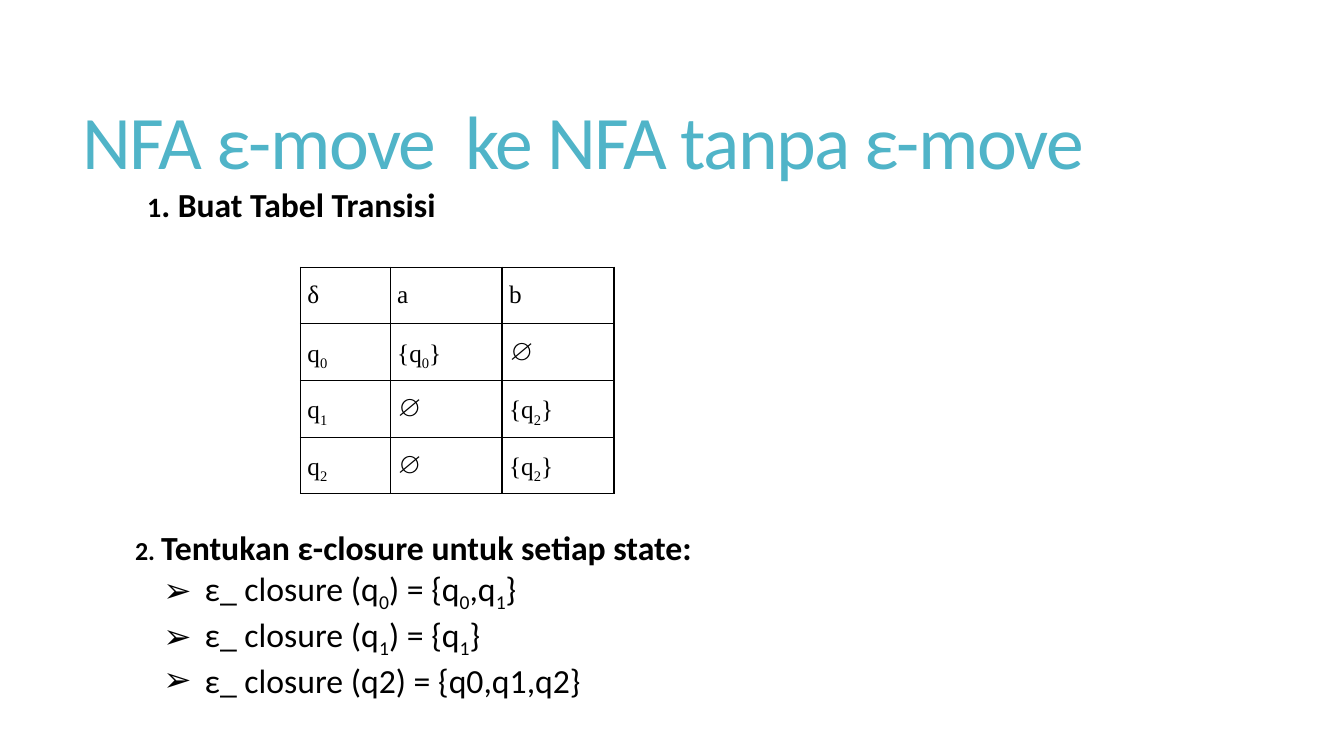
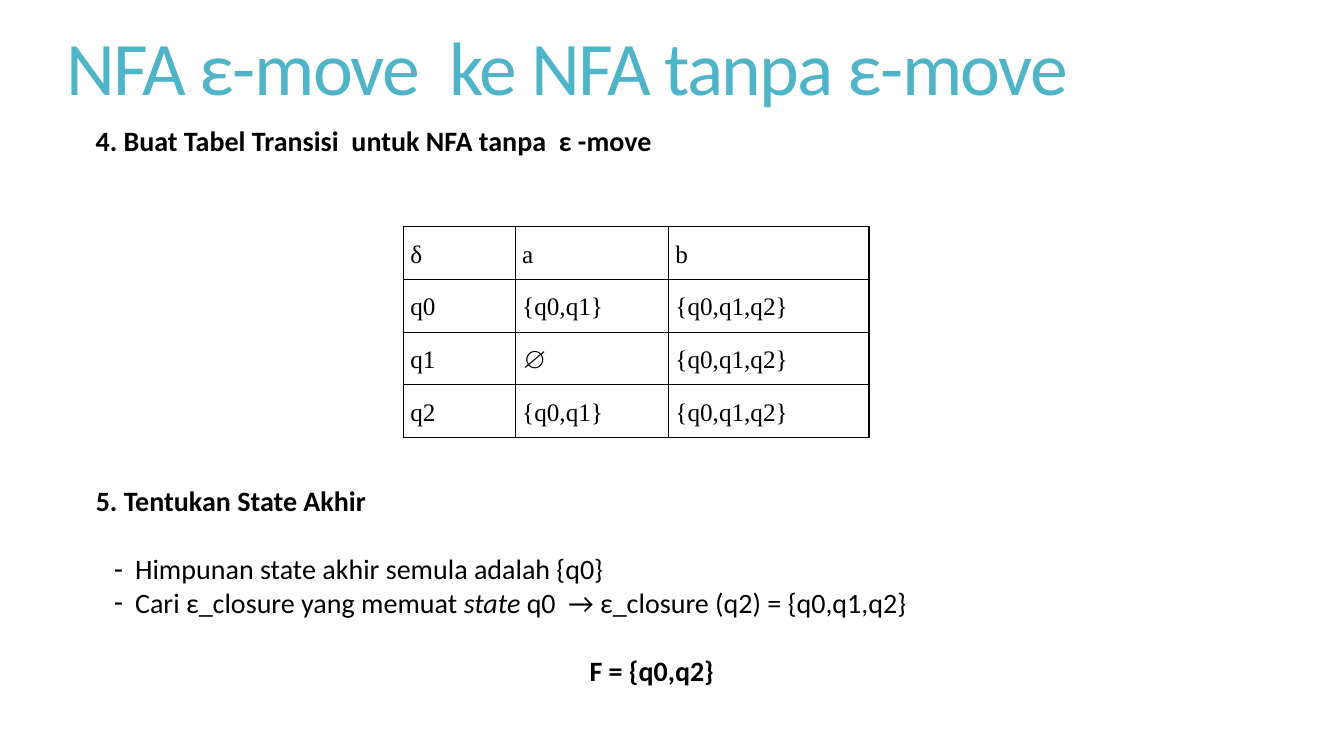
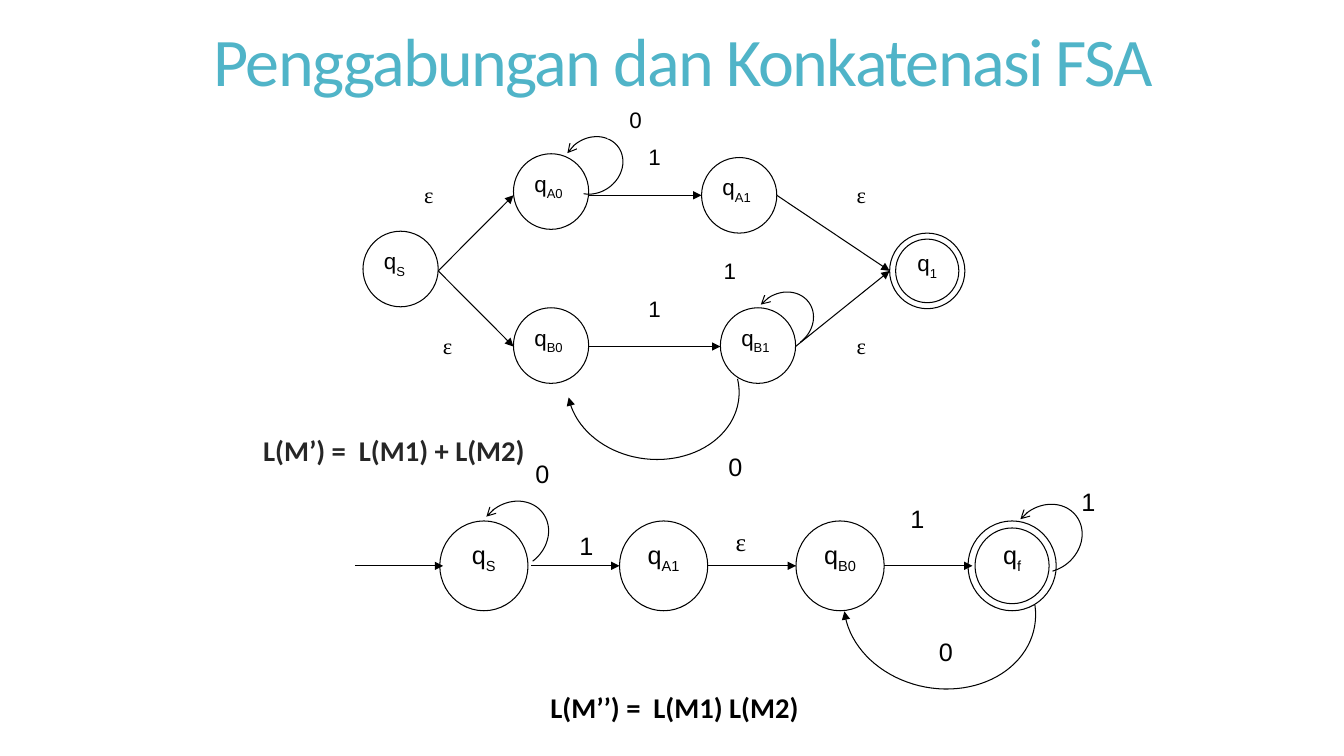
from dataclasses import dataclass, field
from math import cos, radians, sin

from lxml import etree
from pptx import Presentation
from pptx.dml.color import RGBColor
from pptx.enum.shapes import MSO_CONNECTOR, MSO_SHAPE
from pptx.enum.text import MSO_ANCHOR, MSO_AUTO_SIZE, PP_ALIGN
from pptx.oxml.ns import qn
from pptx.util import Emu, Inches, Pt

LEFT, MID, JUST = PP_ALIGN.LEFT, PP_ALIGN.CENTER, PP_ALIGN.JUSTIFY
TOP, CENTER = MSO_ANCHOR.TOP, MSO_ANCHOR.MIDDLE
FIXED = MSO_AUTO_SIZE.NONE
STATE, FINAL, RECT = MSO_SHAPE.FLOWCHART_CONNECTOR, MSO_SHAPE.DONUT, MSO_SHAPE.RECTANGLE
STRAIGHT = MSO_CONNECTOR.STRAIGHT


@dataclass(frozen=True)
class Theme:
    ink: RGBColor = RGBColor(0, 0, 0)
    soft: RGBColor = RGBColor(0x26, 0x26, 0x26)
    teal: RGBColor = RGBColor(0x50, 0xB4, 0xC8)
    white: RGBColor = RGBColor(255, 255, 255)
    sans: str = "Calibri"
    label: str = "Arial"
    serif: str = "Times New Roman"
    title: float = 54
    head: float = 48.6
    lead: float = 24
    item: float = 24.1
    text: float = 20
    sum: float = 20.4
    mark: float = 18.5
    cell: float = 18
    state: float = 16
    line: float = 0.75
    edge: float = 1


@dataclass
class Box:
    x: float
    y: float
    w: float
    h: float

    def cut(self, cols, rows, x, y, w=0, h=0):
        dx, dy = self.w / cols, self.h / rows
        return Box(self.x + x * dx, self.y + y * dy, w * dx, h * dy)

    def emu(self):
        return [Inches(v) for v in (self.x, self.y, self.w, self.h)]


@dataclass
class Para:
    runs: list
    fmt: dict = field(default_factory=dict)
    left: float = 0
    hang: float = 0
    mark: str = ""


THEME = Theme()
PAGE = Box(0, 0, 13.33, 7.5)
COLS, ROWS = 133.3, 75
LOOP = (1.67, 1.45, -34)
NFA = "NFA ε-move  ke NFA tanpa ε-move"


def zone(*spot):
    return PAGE.cut(COLS, ROWS, *spot)


def put(item, vals):
    for key, val in vals.items():
        setattr(item, key, val)


def face(name, size, **more):
    return {"name": name, "size": Pt(size), "color": THEME.ink, **more}


def ink(font, fmt):
    put(font, {key: val for key, val in fmt.items() if key != "color"})
    font.color.rgb = fmt["color"]


def child(node, tag, **vals):
    return etree.SubElement(node, qn(tag), vals)


def add_runs(para, text, fmt, drop):
    for i, bit in enumerate(text.replace("]", "[").split("[")):
        if bit:
            run = para.add_run()
            run.text = bit
            ink(run.font, fmt)
            if i % 2:
                run.font._element.set("baseline", str(-1000 * drop))


def write(frame, paras, fmt, drop=25, anchor=TOP):
    put(frame, {"word_wrap": True, "auto_size": FIXED, "vertical_anchor": anchor})
    for i, item in enumerate(paras):
        para = frame.add_paragraph() if i else frame.paragraphs[0]
        put(para, {"alignment": LEFT, "space_before": Pt(0), **item.fmt})
        props = para._p.get_or_add_pPr()
        props.set("marL", str(Inches(item.left)))
        props.set("indent", str(Inches(item.hang)))
        if item.mark:
            child(props, "a:buChar", char=item.mark)
        else:
            child(props, "a:buNone")
        for text, more in item.runs:
            add_runs(para, text, {**fmt, **more}, drop)


def place(shape, box):
    put(shape, dict(zip(("left", "top", "width", "height"), box.emu())))
    return shape


def add_title(slide, box, text, size=THEME.title, left=0):
    frame = place(slide.shapes.title, box).text_frame
    fmt = face(THEME.sans, size, color=THEME.teal)
    write(frame, [Para([(text, {})], {"line_spacing": 0.85}, left)], fmt, anchor=CENTER)
    for run in frame.paragraphs[0].runs:
        run.font._element.set("spc", "-120")


def add_body(slide, box, paras, fmt):
    write(place(slide.placeholders[1], box).text_frame, paras, fmt)


def add_note(slide, box, paras, fmt):
    write(slide.shapes.add_textbox(*box.emu()).text_frame, paras, fmt)


def add_grid(slide, box, cols, rows):
    table = slide.shapes.add_table(len(rows), len(cols), *box.emu()).table
    put(table, {"first_row": False, "horz_banding": False})
    for col, share in zip(table.columns, cols):
        col.width = Inches(box.w * share / sum(cols))
    for row, texts in zip(table.rows, rows):
        row.height = Inches(box.h / len(rows))
        for cell, text in zip(row.cells, texts):
            fill_cell(cell, text)


def fill_cell(cell, text):
    put(cell, {"margin_left": Inches(0.07), "margin_right": Inches(0.07),
               "margin_top": 0, "margin_bottom": 0})
    para = cell.text_frame.paragraphs[0]
    put(para, {"alignment": JUST, "line_spacing": 1.5})
    add_runs(para, text, face(THEME.serif, THEME.cell), 25)
    props = cell._tc.get_or_add_tcPr()
    for side in ("a:lnL", "a:lnR", "a:lnT", "a:lnB"):
        line = child(props, side, w=str(Pt(THEME.edge)))
        child(child(line, "a:solidFill"), "a:srgbClr", val=str(THEME.ink))
    cell.fill.background()


def stroke(shape):
    shape.line.color.rgb = THEME.ink
    shape.line.width = Pt(THEME.line)


def add_form(slide, kind, box, text, fmt, align, solid=True, lined=False):
    shape = slide.shapes.add_shape(kind, *box.emu())
    shape.shadow.inherit = False
    if solid:
        shape.fill.solid()
        shape.fill.fore_color.rgb = THEME.white
    else:
        shape.fill.background()
    if lined:
        stroke(shape)
    else:
        shape.line.fill.background()
    if kind == FINAL:
        shape.adjustments[0] = 0.08
    write(shape.text_frame, [Para([(text, {})], {"alignment": align})], fmt, drop=30)


def add_arrow(slide, start, end):
    line = slide.shapes.add_connector(STRAIGHT, *start.emu()[:2], *end.emu()[:2])
    stroke(line)
    child(line.get_or_add_ln(), "a:tailEnd", type="triangle")
    child(line._element.spPr, "a:effectLst")


def add_arc(slide, spot, x, y, wide, tall, tilt, first, last):
    turn = radians(tilt)
    dots = []
    for i in range(49):
        angle = radians(first + (last - first) * i / 48)
        u, v = wide * cos(angle), tall * sin(angle)
        dot = spot(x + u * cos(turn) - v * sin(turn), y + u * sin(turn) + v * cos(turn))
        dots.append(tuple(dot.emu()[:2]))
    pen = slide.shapes.build_freeform(*dots[0], scale=1.0)
    pen.add_line_segments(dots[1:], close=False)
    shape = pen.convert_to_shape(Emu(0), Emu(0))
    shape.shadow.inherit = False
    shape.fill.background()
    stroke(shape)
    end, kind = ("a:headEnd", "arrow") if tilt < 0 else ("a:tailEnd", "triangle")
    child(shape.get_or_add_ln(), end, type=kind)


def add_graph(slide, box, cols, rows, size, align, states, arrows, arcs, labels):
    def spot(*cell):
        return box.cut(cols, rows, *cell)

    for kind, text, x, y in states:
        side = MID if kind == FINAL else align
        add_form(slide, kind, spot(x, y, 4, 4), text, face(THEME.label, size), side, lined=True)
    for x, y, to_x, to_y in arrows:
        add_arrow(slide, spot(x, y), spot(to_x, to_y))
    for arc in arcs:
        add_arc(slide, spot, *arc)
    for text, x, y, points, solid in labels:
        name = THEME.serif if text == "ε" else THEME.label
        add_form(slide, RECT, spot(x, y, 3, 2), text, face(name, points), MID, solid)


def closure(slide):
    add_title(slide, zone(7.2, 5.5, 117.8, 18.1), NFA)
    small = {"size": Pt(THEME.text)}
    add_note(slide, zone(12.4, 17.8, 65.8, 5.8),
             [Para([("1", small), (". Buat Tabel Transisi", {})],
                   {"space_before": Pt(4)}, 0.4, -0.28)],
             face(THEME.sans, THEME.lead, bold=True))
    add_grid(slide, zone(29.8, 26.5, 31.1, 22.5), (8.9, 11.1, 11.1), [
        ("δ", "a", "b"),
        ("q[0]", "{q[0]}", "∅"),
        ("q[1]", "∅", "{q[2]}"),
        ("q[2]", "∅", "{q[2]}")])
    items = ("ε_ closure (q[0]) = {q[0],q[1]}",
             "ε_ closure (q[1]) = {q[1]}",
             "ε_ closure (q2) = {q0,q1,q2}")
    bold = {"bold": True}
    head = Para([("2. ", {"size": Pt(THEME.mark), **bold}),
                 ("Tentukan ε-closure untuk setiap state:", bold)])
    add_body(slide, zone(12.4, 51.8, 88.3, 15),
             [head] + [Para([(text, {})], {}, 0.69, -0.41, "➢") for text in items],
             face(THEME.sans, THEME.item, bold=False))


def ends(slide):
    add_title(slide, zone(5.6, 2, 117.8, 10.3), NFA)
    fmt = face(THEME.sans, THEME.text, bold=False)
    bold = {"bold": True}
    add_note(slide, zone(8.5, 11.8, 70, 6.7),
             [Para([("4. Buat Tabel Transisi  untuk NFA tanpa  ε -move", bold)])], fmt)
    add_grid(slide, zone(40, 22.5, 46.2, 20.9), (11.1, 15.2, 19.9), [
        ("δ", "a", "b"),
        ("q0", "{q0,q1}", "{q0,q1,q2}"),
        ("q1", "∅", "{q0,q1,q2}"),
        ("q2", "{q0,q1}", "{q0,q1,q2}")])
    gap = {"space_before": Pt(24.4)}
    add_body(slide, zone(8.5, 47.5, 112.3, 19.9), [
        Para([("5. Tentukan State Akhir", bold)]),
        Para([("Himpunan state akhir semula adalah {q0}", {})], gap, 0.39, -0.21, "-"),
        Para([("Cari ε_closure yang memuat ", {}), ("state ", {"italic": True}),
              ("q0  → ε_closure (q2) = {q0,q1,q2}", {})], {}, 0.39, -0.21, "-"),
        Para([("F = {q0,q2}", bold)], {"alignment": MID, **gap})], fmt)


def union(slide, box):
    size = THEME.state
    add_graph(
        slide, box, 32, 20, size, LEFT,
        [(STATE, "q[S]", 0, 6.9), (STATE, "q[A0]", 8, 2.8), (STATE, "q[A1]", 18, 3),
         (STATE, "q[B0]", 8, 10.95), (STATE, "q[B1]", 19, 10.95), (FINAL, "q[1]", 28, 7)],
        [(4, 9, 8, 5), (4, 9, 8, 13), (12, 5, 18, 5), (12, 13, 19, 13),
         (22, 5, 28, 9), (23, 13, 28, 9)],
        [(12.22, 3.42, *LOOP, -117, 138), (22.35, 11.64, *LOOP, -108, 86),
         (15.44, 15.27, 4.57, 3.7, 6, -16, 166)],
        [(text, x, y, size, True) for text, x, y in (
            ("0", 13, 0), ("1", 14, 2), ("1", 14, 10), ("1", 18, 8),
            ("ε", 2, 4), ("ε", 3, 12), ("ε", 25, 4), ("ε", 25, 12))]
        + [("0", 18.3, 18.3, THEME.cell, True)])


def concat(slide, box):
    size = THEME.cell
    add_graph(
        slide, box, 32, 11, size, MID,
        [(STATE, "q[S]", 3.85, 3), (STATE, "q[A1]", 12, 3),
         (STATE, "q[B0]", 20, 3), (FINAL, "q[f]", 27.8, 3)],
        [(x, 5, x + 4, 5) for x in range(0, 25, 8)],
        [(7.18, 3.64, *LOOP, -109, 87), (31.37, 3.78, *LOOP, -108, 111),
         (26.52, 6.92, 4.37, 3.54, 10, -15, 166)],
        [("0", 7, 0, size, False), ("1", 9, 3.2, size, False), ("ε", 16, 3, size, False),
         ("1", 24, 2, size, True), ("1", 31.75, 1.25, size, False),
         ("0", 25.3, 7.9, size, True)])


def merge(slide):
    add_title(slide, zone(18.7, 3.3, 98, 6.4),
              "Penggabungan dan Konkatenasi FSA", THEME.head, 0.15)
    fmt = face(THEME.sans, THEME.sum, bold=True)
    add_body(slide, zone(25.1, 43.2, 28.3, 4.2),
             [Para([("L(M’) =  L(M1) + L(M2)", {})],
                   {"line_spacing": 0.75, "space_before": Pt(13)}, 0.1, -0.1)],
             {**fmt, "color": THEME.soft})
    union(slide, zone(36, 10, 59.7, 37.5))
    concat(slide, zone(35.2, 45, 70, 24.5))
    add_note(slide, zone(52.4, 68, 28.3, 4.2),
             [Para([("L(M’’) =  L(M1) L(M2)", {})],
                   {"space_before": Pt(4)}, 0.4, -0.28)], fmt)


def build():
    deck = Presentation()
    put(deck, {"slide_width": Inches(PAGE.w), "slide_height": Inches(PAGE.h)})
    for draw in (closure, ends, merge):
        draw(deck.slides.add_slide(deck.slide_layouts[1]))
    deck.save("out.pptx")


build()
